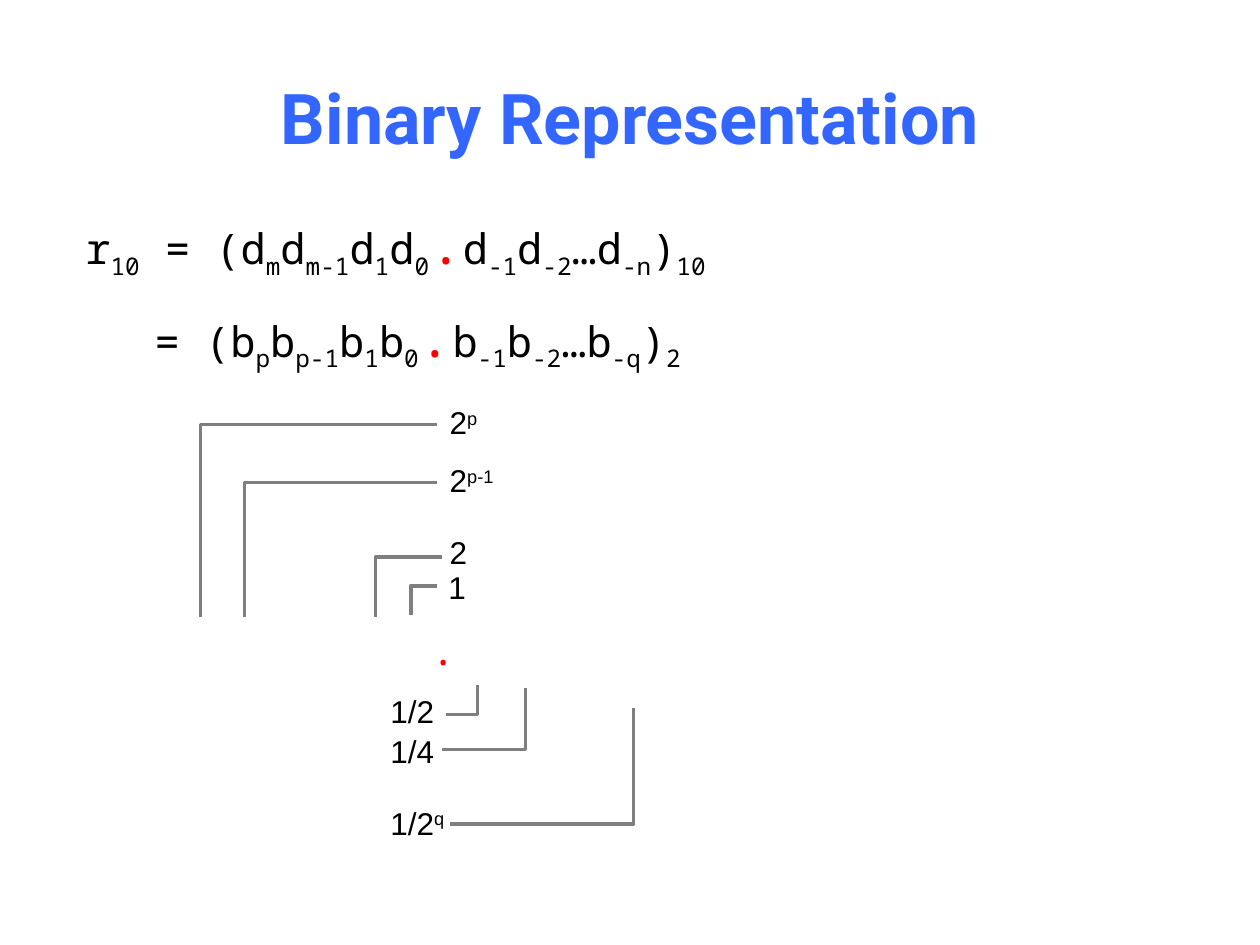
from dataclasses import dataclass

from pptx import Presentation
from pptx.dml.color import RGBColor
from pptx.enum.text import MSO_ANCHOR, PP_ALIGN
from pptx.util import Inches, Pt


@dataclass(frozen=True)
class Theme:
    title_font: str = "Roboto"
    code_font: str = "Noto Sans Mono"
    label_font: str = "Arial"
    title_color: str = "3366FF"
    text_color: str = "000000"
    point_color: str = "FF0000"
    leader_color: str = "7F7F7F"
    title_size: int = 40
    code_size: int = 24
    point_size: int = 32
    label_size: int = 18
    leader_width: int = 2


THEME = Theme()
SUBSCRIPT, SUPERSCRIPT = -25000, 30000
TITLE = "Binary Representation"


def expansion(opening, digit, highest, lowest, base):
    return [
        (opening + digit, highest), (digit, highest + "-1"), (digit, "1"), (digit, "0"),
        (".", ""),
        (digit, "-1"), (digit, "-2"), ("…" + digit, lowest), (")", base),
    ]


EQUATIONS = [
    [("r", "10")] + expansion(" = (", "d", "m", "-n", "10"),
    expansion("= (", "b", "p", "-q", "2"),
]
EQUATION_INDENT = 0.55
EQUATION_GAP = 12

LABELS = [
    ("2", "p", 3.47, 3.15, 0.44),
    ("2", "p-1", 3.47, 3.61, 0.59),
    ("2", "", 3.47, 4.18, 0.34),
    ("1", "", 3.46, 4.46, 0.34),
    ("1/2", "", 3, 5.44, 0.55),
    ("1/4", "", 3, 5.76, 0.55),
    ("1/2", "q", 3, 6.33, 0.65),
]
LEADERS = [
    (3.47, 3.37, 1.59, 4.9),
    (3.47, 3.83, 1.94, 4.9),
    (3.51, 4.42, 2.98, 4.9),
    (3.47, 4.65, 3.26, 4.88),
    (3.54, 5.67, 3.79, 5.44),
    (3.51, 5.95, 4.17, 5.46),
    (3.57, 6.54, 5.03, 5.62),
]


def add_text_box(slide, left, top, width, height, wrap=True):
    box = slide.shapes.add_textbox(Inches(left), Inches(top), Inches(width), Inches(height))
    box.text_frame.word_wrap = wrap
    return box.text_frame


def add_run(paragraph, text, font, size, color, baseline=0, bold=False):
    run = paragraph.add_run()
    run.text = text
    run.font.name = font
    run.font.size = Pt(size)
    run.font.bold = bold
    run.font.color.rgb = RGBColor.from_string(color)
    if baseline:
        run.font._element.set("baseline", str(baseline))


def add_title(slide):
    frame = add_text_box(slide, 0.5, 0.3, 9, 1.25)
    frame.vertical_anchor = MSO_ANCHOR.MIDDLE
    paragraph = frame.paragraphs[0]
    paragraph.alignment = PP_ALIGN.CENTER
    add_run(paragraph, TITLE, THEME.title_font, THEME.title_size, THEME.title_color, bold=True)


def add_equations(slide):
    frame = add_text_box(slide, 0.58, 1.61, 8.76, 1.3)
    for index, terms in enumerate(EQUATIONS):
        paragraph = frame.add_paragraph() if index else frame.paragraphs[0]
        if index:
            paragraph.space_before = Pt(EQUATION_GAP)
            properties = paragraph._p.get_or_add_pPr()
            properties.set("marL", str(Inches(EQUATION_INDENT)))
            properties.set("indent", "0")
        for text, subscript in terms:
            if text == ".":
                add_run(paragraph, text, THEME.code_font, THEME.point_size, THEME.point_color)
                continue
            add_run(paragraph, text, THEME.code_font, THEME.code_size, THEME.text_color)
            add_run(paragraph, subscript, THEME.code_font, THEME.code_size,
                    THEME.text_color, SUBSCRIPT)


def add_leader(slide, label_x, label_y, digit_x, digit_y):
    builder = slide.shapes.build_freeform(Inches(label_x), Inches(label_y))
    corners = [(digit_x, label_y), (digit_x, digit_y)]
    builder.add_line_segments([(Inches(x), Inches(y)) for x, y in corners], close=False)
    leader = builder.convert_to_shape()
    leader.shadow.inherit = False
    leader.fill.background()
    leader.line.color.rgb = RGBColor.from_string(THEME.leader_color)
    leader.line.width = Pt(THEME.leader_width)


def add_label(slide, text, exponent, left, top, width):
    paragraph = add_text_box(slide, left, top, width, 0.4, wrap=False).paragraphs[0]
    add_run(paragraph, text, THEME.label_font, THEME.label_size, THEME.text_color)
    if exponent:
        add_run(paragraph, exponent, THEME.label_font, THEME.label_size,
                THEME.text_color, SUPERSCRIPT)


def main():
    presentation = Presentation()
    presentation.slide_width = Inches(10)
    presentation.slide_height = Inches(7.5)
    slide = presentation.slides.add_slide(presentation.slide_layouts[6])
    add_title(slide)
    add_equations(slide)
    for leader, label in zip(LEADERS, LABELS):
        add_leader(slide, *leader)
        add_label(slide, *label)
    point = add_text_box(slide, 3.32, 4.9, 0.39, 0.5).paragraphs[0]
    add_run(point, ".", THEME.code_font, THEME.code_size, THEME.point_color)
    presentation.save("out.pptx")


if __name__ == "__main__":
    main()
